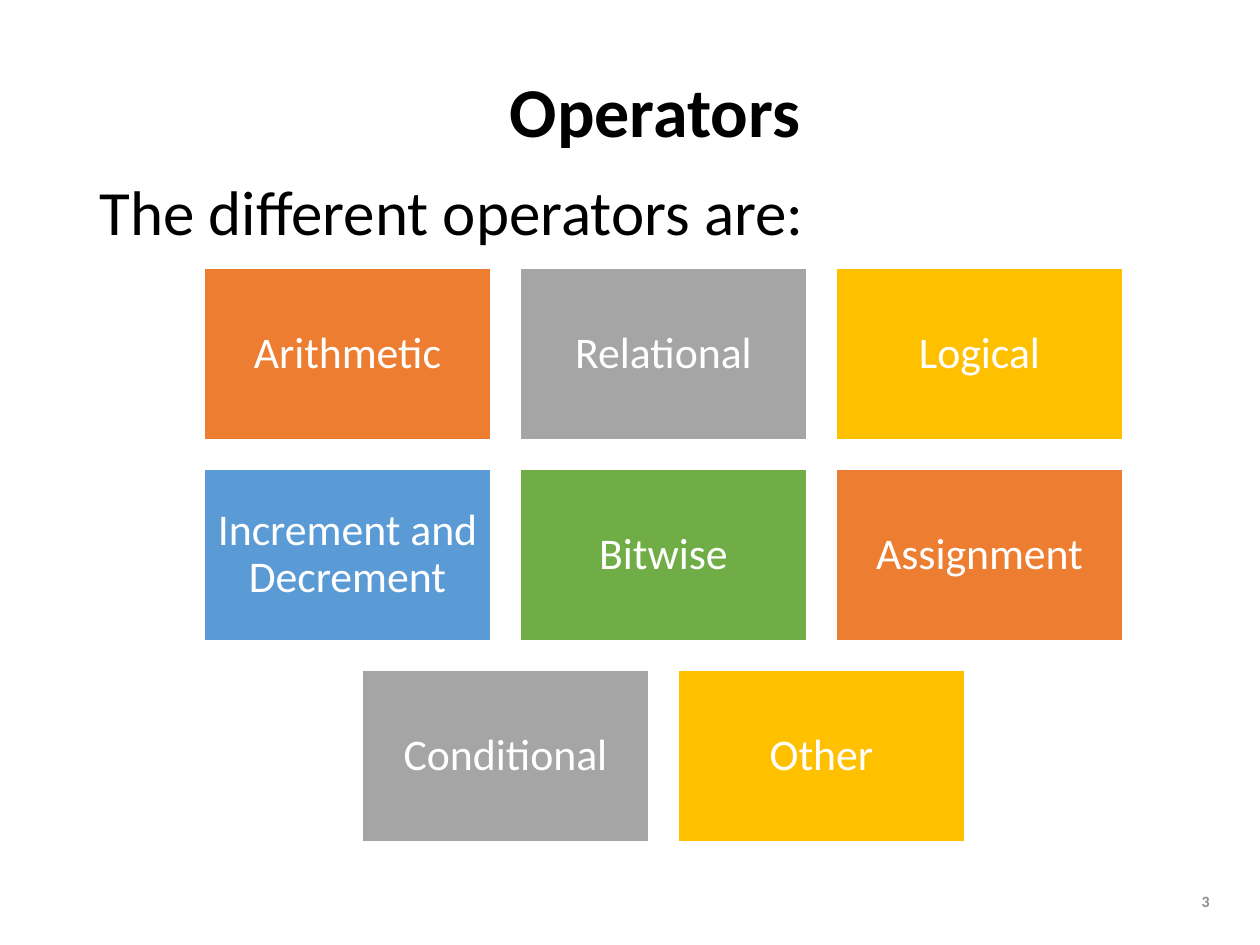
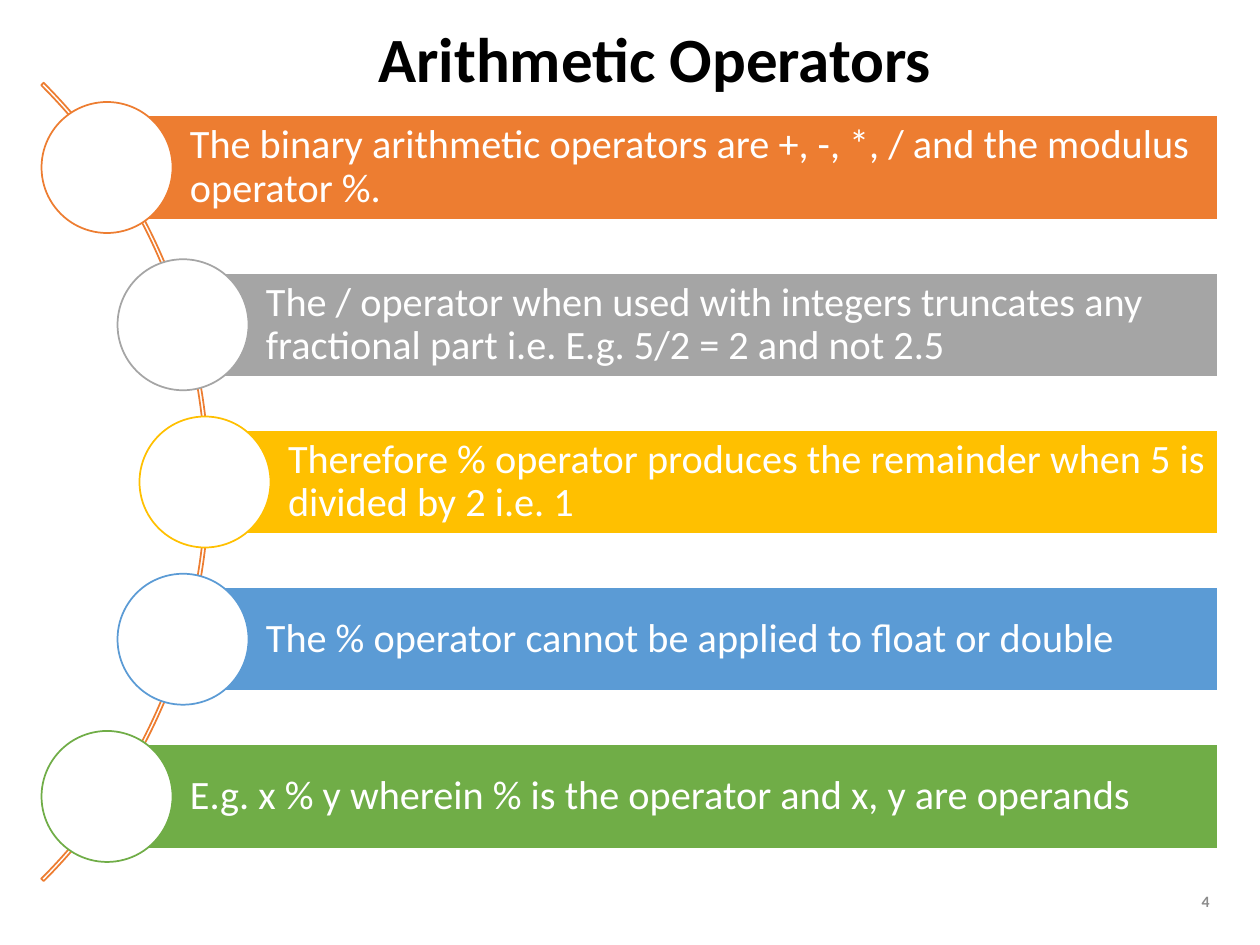
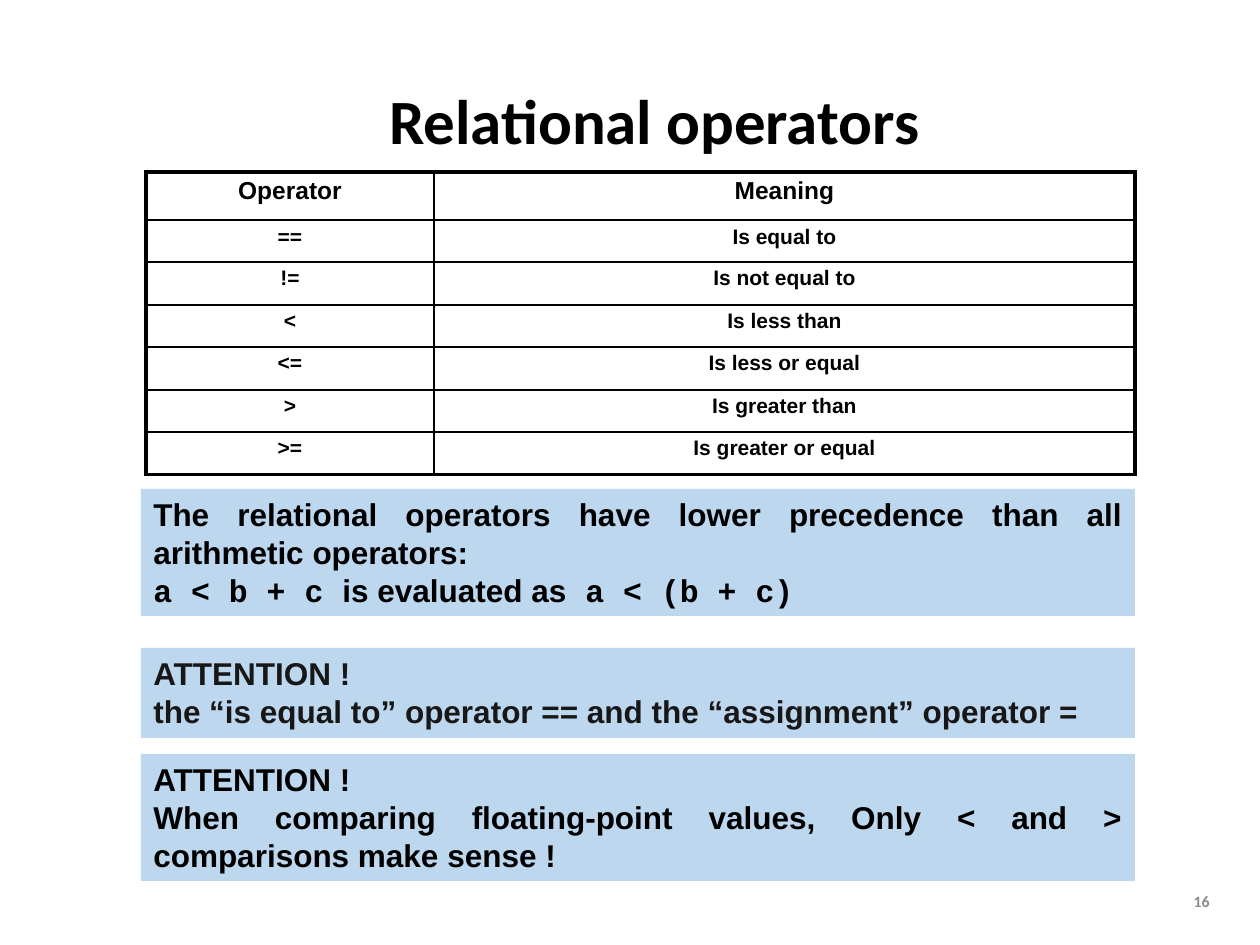
from itertools import cycle

from lxml.etree import SubElement
from pptx import Presentation
from pptx.dml.color import RGBColor
from pptx.enum.shapes import MSO_SHAPE
from pptx.enum.text import MSO_ANCHOR, PP_ALIGN
from pptx.oxml.ns import qn
from pptx.util import Emu, Pt

PX = 914400 / 126
BLACK = RGBColor(0x00, 0x00, 0x00)
CHARCOAL = RGBColor(0x18, 0x17, 0x17)
WHITE = RGBColor(0xFF, 0xFF, 0xFF)
PALE_BLUE = RGBColor(0xBD, 0xD7, 0xEE)
FOOTER_GRAY = RGBColor(0x8C, 0x8C, 0x8C)
ORANGE = RGBColor(0xED, 0x7D, 0x31)
GRAY = RGBColor(0xA5, 0xA5, 0xA5)
YELLOW = RGBColor(0xFF, 0xC0, 0x00)
BLUE = RGBColor(0x5B, 0x9B, 0xD5)
GREEN = RGBColor(0x70, 0xAD, 0x47)
ACCENTS = (ORANGE, GRAY, YELLOW, BLUE, GREEN)

TITLE = {"name": "Calibri", "size": Pt(36), "bold": True}
BODY = {"name": "Calibri", "size": Pt(36), "bold": False}
TILE = {"name": "Calibri", "size": Pt(25), "bold": False}
POINT = {"name": "Calibri", "size": Pt(23), "bold": False}
FOOTER = {"name": "Calibri", "size": Pt(9), "bold": True}
NOTE = {"name": "Arial", "size": Pt(18), "bold": True}
CODE = {**NOTE, "name": "Courier New"}
HEADING_CELL = {"name": "Arial", "size": Pt(14), "bold": True}
CELL = {**HEADING_CELL, "size": Pt(12)}

CENTERED = {"alignment": PP_ALIGN.CENTER, "line_spacing": 0.9}
LEFT = {"alignment": PP_ALIGN.LEFT, "line_spacing": 0.9}
JUSTIFIED = {"alignment": PP_ALIGN.JUSTIFY}

OPERATORS = [
    ["Arithmetic", "Relational", "Logical"],
    ["Increment and Decrement", "Bitwise", "Assignment"],
    ["Conditional", "Other"],
]
ARITHMETIC_POINTS = [
    (107, "The binary arithmetic operators are +, -, *, / and the modulus operator %."),
    (183, "The / operator when used with integers truncates any fractional part "
          "i.e. E.g. 5/2 = 2 and not 2.5"),
    (205, "Therefore % operator produces the remainder when 5 is divided by 2 i.e. 1"),
    (183, "The % operator cannot be applied to float or double"),
    (107, "E.g. x % y wherein % is the operator and x, y are operands"),
]
MEANINGS = [
    ("Operator", "Meaning"),
    ("==", "Is equal to"),
    ("!=", "Is not equal to"),
    ("<", "Is less than"),
    ("<=", "Is less or equal"),
    (">", "Is greater than"),
    (">=", "Is greater or equal"),
]
NOTES = [
    (489, 127, BLACK, [
        [("The relational operators have lower precedence than all arithmetic operators:", NOTE)],
        [("a < b + c ", CODE), ("is evaluated as", NOTE), (" a < (b + c)", CODE)],
    ]),
    (648, 90, CHARCOAL, [
        [("ATTENTION !", NOTE)],
        [("the “is equal to” operator == and the “assignment” operator =", NOTE)],
    ]),
    (754, 127, BLACK, [
        [("ATTENTION !", NOTE)],
        [("When comparing floating-point values, Only < and > comparisons make sense !", NOTE)],
    ]),
]


def px(length):
    """Turn a length in px into EMU."""
    return Emu(round(length * PX))


def assign(target, values):
    """Set each named attribute of the target."""
    for name, value in values.items():
        setattr(target, name, value)


def write(frame, paragraphs, color, layout):
    """Fill a text frame with paragraphs made of (text, font) runs."""
    for index, runs in enumerate(paragraphs):
        paragraph = frame.add_paragraph() if index else frame.paragraphs[0]
        assign(paragraph, layout)
        for text, font in runs:
            run = paragraph.add_run()
            run.text = text
            assign(run.font, font)
            run.font.color.rgb = color


def add_text(slide, box, text, font, color=BLACK, layout=CENTERED, anchor=MSO_ANCHOR.MIDDLE):
    """Add a wrapping text box with one paragraph."""
    frame = slide.shapes.add_textbox(*map(px, box)).text_frame
    assign(frame, {"word_wrap": True, "vertical_anchor": anchor})
    write(frame, [[(text, font)]], color, layout)


def add_block(slide, kind, box, fill=None, line=None):
    """Add a flat preset shape with an optional fill and outline."""
    block = slide.shapes.add_shape(kind, *map(px, box))
    block.shadow.inherit = False
    for paint, color in ((block.fill, fill), (block.line.fill, line)):
        if color is None:
            paint.background()
        else:
            paint.solid()
            paint.fore_color.rgb = color
    if line is not None:
        block.line.width = Pt(1)
    return block


def add_label(slide, box, fill, text, font, layout, margins):
    """Add a filled rectangle with white text, margins as left and other sides."""
    frame = add_block(slide, MSO_SHAPE.RECTANGLE, box, fill, WHITE).text_frame
    left, other = map(px, margins)
    assign(frame, {"word_wrap": True, "vertical_anchor": MSO_ANCHOR.MIDDLE, "margin_left": left,
                   "margin_top": other, "margin_right": other, "margin_bottom": other})
    write(frame, [[(text, font)]], WHITE, layout)


def add_page(deck, title, title_box, number, size=36):
    """Add a blank slide with its title and slide number."""
    slide = deck.slides.add_slide(deck.slide_layouts[6])
    add_text(slide, title_box, title, {**TITLE, "size": Pt(size)})
    add_text(slide, (1173, 876, 49, 50), str(number), FOOTER, FOOTER_GRAY,
             {"alignment": PP_ALIGN.RIGHT})
    return slide


def add_operator_grid(slide, box, gap):
    """Lay out the operator tiles in rows centred in the box."""
    left, top, width, height = box
    tile_width = (width - 2 * gap) // 3
    tile_height = (height - 2 * gap) // 3
    colors = cycle(ACCENTS)
    for row, names in enumerate(OPERATORS):
        row_width = len(names) * (tile_width + gap) - gap
        row_left = left + (width - row_width) // 2
        for column, name in enumerate(names):
            tile = (row_left + column * (tile_width + gap), top + row * (tile_height + gap),
                    tile_width, tile_height)
            add_label(slide, tile, next(colors), name, TILE, CENTERED, (11, 11))


def add_point_list(slide, box):
    """Place the coloured bars with circles along an arc in the box."""
    left, top, width, height = box
    bar_height, diameter, arc_size = 104, 131, 1129
    pitch = (height - diameter) / (len(ARITHMETIC_POINTS) - 1)
    arc_box = (left - 962, top + (height - arc_size) / 2, arc_size, arc_size)
    arc = add_block(slide, MSO_SHAPE.BLOCK_ARC, arc_box, line=ORANGE)
    for index, value in enumerate((189, 27, 0.003)):
        arc.adjustments[index] = value
    for index, ((bar_left, text), color) in enumerate(zip(ARITHMETIC_POINTS, ACCENTS)):
        circle_top = top + index * pitch
        bar = (bar_left, circle_top + (diameter - bar_height) / 2,
               left + width - bar_left, bar_height)
        add_label(slide, bar, color, text, POINT, LEFT, (83, 8))
        circle = (bar_left - diameter / 2, circle_top, diameter, diameter)
        add_block(slide, MSO_SHAPE.OVAL, circle, WHITE, color)


def add_border(cell, side, width):
    """Draw one black edge of a table cell."""
    edge = SubElement(cell._tc.get_or_add_tcPr(), qn(f"a:ln{side}"), w=str(Pt(width)))
    fill = SubElement(edge, qn("a:solidFill"))
    SubElement(fill, qn("a:srgbClr"), val=str(BLACK))


def add_meaning_table(slide, box, column_widths, row_heights):
    """Add the operator table with a heavy frame and thin inner rules."""
    last_row, last_column = len(MEANINGS) - 1, len(column_widths) - 1
    table = slide.shapes.add_table(last_row + 1, last_column + 1, *map(px, box)).table
    assign(table, {"first_row": False, "horz_banding": False})
    for column, width in zip(table.columns, column_widths):
        column.width = px(width)
    for row, height in zip(table.rows, row_heights):
        row.height = px(height)
    margins = {"margin_left": px(15), "margin_right": px(15),
               "margin_top": px(5), "margin_bottom": px(5)}
    for r, texts in enumerate(MEANINGS):
        for c, text in enumerate(texts):
            cell = table.cell(r, c)
            assign(cell, margins)
            outer = {"L": c == 0, "R": c == last_column, "T": r == 0, "B": r == last_row}
            for side, is_outer in outer.items():
                add_border(cell, side, 2.25 if is_outer else 1)
            cell.fill.background()
            font = CELL if r else HEADING_CELL
            write(cell.text_frame, [[(text, font)]], BLACK, {"alignment": PP_ALIGN.CENTER})


def add_notes(slide, left, width):
    """Stack the pale blue remarks in one column."""
    for top, height, color, paragraphs in NOTES:
        note = add_block(slide, MSO_SHAPE.RECTANGLE, (left, top, width, height), PALE_BLUE)
        assign(note.text_frame, {"word_wrap": True, "vertical_anchor": MSO_ANCHOR.TOP})
        write(note.text_frame, paragraphs, color, JUSTIFIED)


def build_overview(deck):
    """Build the slide that lists the operator families."""
    slide = add_page(deck, "Operators", (87, 71, 1136, 87), 3, size=40)
    add_text(slide, (87, 175, 1136, 106), "The different operators are:", BODY,
             layout=LEFT, anchor=MSO_ANCHOR.TOP)
    add_operator_grid(slide, (204, 268, 919, 574), 29)


def build_arithmetic(deck):
    """Build the slide on arithmetic operators."""
    slide = add_page(deck, "Arithmetic Operators", (87, 19, 1136, 87), 4)
    add_point_list(slide, (42, 102, 1176, 760))


def build_relational(deck):
    """Build the slide on relational operators."""
    slide = add_page(deck, "Relational operators", (284, 89, 741, 71), 16)
    add_meaning_table(slide, (146, 172, 989, 303), (288, 701), [48] + [42, 43] * 3)
    add_notes(slide, 141, 994)


def main():
    """Build and save the deck."""
    deck = Presentation()
    assign(deck, {"slide_width": px(1260), "slide_height": px(945)})
    for build in (build_overview, build_arithmetic, build_relational):
        build(deck)
    deck.save("out.pptx")


if __name__ == "__main__":
    main()
